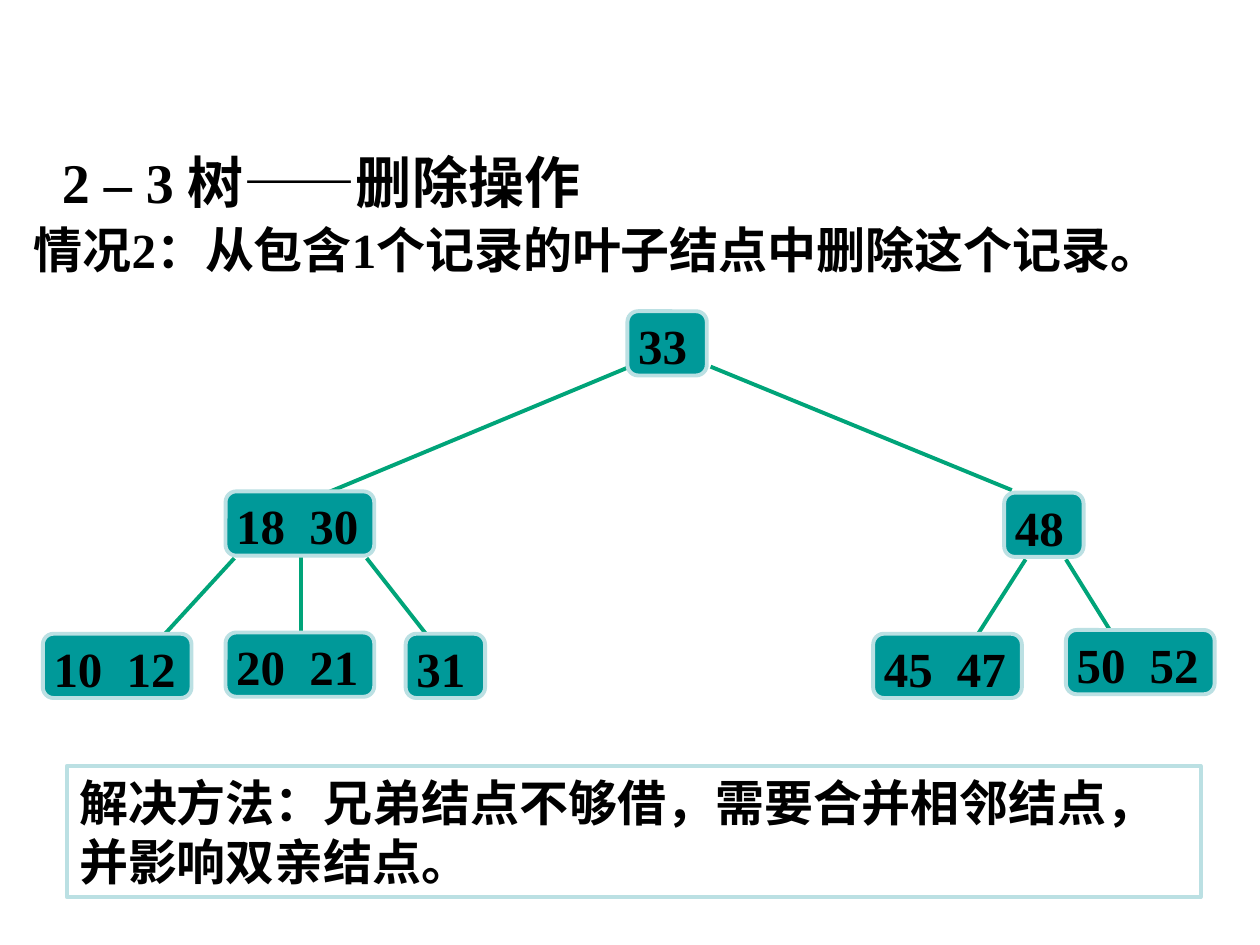
from lxml import etree
from pptx import Presentation
from pptx.dml.color import RGBColor
from pptx.enum.shapes import MSO_CONNECTOR, MSO_SHAPE
from pptx.enum.text import MSO_ANCHOR, MSO_AUTO_SIZE, PP_ALIGN
from pptx.oxml.ns import qn
from pptx.util import Inches, Pt

STRAIGHT = MSO_CONNECTOR.STRAIGHT
RECT, ROUNDED = MSO_SHAPE.RECTANGLE, MSO_SHAPE.ROUNDED_RECTANGLE
TOP, MIDDLE = MSO_ANCHOR.TOP, MSO_ANCHOR.MIDDLE
LEFT, JUSTIFY = PP_ALIGN.LEFT, PP_ALIGN.JUSTIFY
NO_FIT = MSO_AUTO_SIZE.NONE

BLACK, TEAL, PALE, GREEN = "000000", "009999", "BBE0E3", "00A479"
NODE_W = {1: 0.63, 2: 1.18}  # width by number of keys
NODE_H = 0.51
KEY_TAB = 0.58
BOX_INSETS = (0.1, 0.05, 0.1, 0.05)
NODE_INSETS = (0.06, 0.01, 0.02, 0.01)

# Position in the tree region and keys of each node
NODES = [
    (4.64, 0, "33"),
    (1.45, 1.43, "18\t30"),
    (7.63, 1.44, "48"),
    (0, 2.56, "10\t12"),
    (1.45, 2.55, "20\t21"),
    (2.88, 2.56, "31"),
    (6.59, 2.56, "45\t47"),
    (8.12, 2.53, "50\t52"),
]
# Start and end of each branch in the tree region
BRANCHES = [
    (4.66, 0.44, 2.21, 1.46),
    (5.3, 0.44, 7.69, 1.42),
    (1.52, 1.96, 0.97, 2.56),
    (2.05, 1.95, 2.05, 2.54),
    (2.57, 1.96, 3.04, 2.56),
    (7.8, 1.97, 7.41, 2.58),
    (8.12, 1.97, 8.5, 2.58),
]


def rgb(color):
    return RGBColor.from_string(color)


def set_line(s, color):
    s.line.color.rgb = rgb(color)
    s.line.width = Pt(2.25)


def write(s, text, size=28, anchor=TOP, align=LEFT, insets=BOX_INSETS, wrap=True):
    tf = s.text_frame
    margins = zip(("left", "top", "right", "bottom"), insets)
    frame = {f"margin_{side}": Inches(v) for side, v in margins}
    frame.update(auto_size=NO_FIT, word_wrap=wrap, vertical_anchor=anchor)
    for name, value in frame.items():
        setattr(tf, name, value)
    p = tf.paragraphs[0]
    p.alignment = align
    if "\t" in text:
        tabs = etree.SubElement(p._p.get_or_add_pPr(), qn("a:tabLst"))
        etree.SubElement(tabs, qn("a:tab"), pos=str(Inches(KEY_TAB)), algn="l")
    r = p.add_run()
    r.text = text
    for name, value in {"name": "Times New Roman", "size": Pt(size), "bold": True}.items():
        setattr(r.font, name, value)
    r.font.color.rgb = rgb(BLACK)


def add_title(slide, left, top, width, height):
    s = slide.shapes.title
    s.left, s.top, s.width, s.height = map(Inches, (left, top, width, height))
    write(s, "2 – 3 树——删除操作", size=32)


def add_case(slide, left, top, width, height):
    s = slide.shapes.add_textbox(*map(Inches, (left, top, width, height)))
    write(s, "情况2：从包含1个记录的叶子结点中删除这个记录。", anchor=MIDDLE, wrap=False)


def add_tree(slide, left, top):
    for x1, y1, x2, y2 in BRANCHES:
        ends = (left + x1, top + y1, left + x2, top + y2)
        c = slide.shapes.add_connector(STRAIGHT, *map(Inches, ends))
        set_line(c, GREEN)
        etree.SubElement(c._element.spPr, qn("a:effectLst"))
    for x, y, keys in NODES:
        box = (left + x, top + y, NODE_W[len(keys.split())], NODE_H)
        s = slide.shapes.add_shape(ROUNDED, *map(Inches, box))
        s.shadow.inherit = False
        s.fill.solid()
        s.fill.fore_color.rgb = rgb(TEAL)
        set_line(s, PALE)
        write(s, keys, align=JUSTIFY, insets=NODE_INSETS)


def add_solution(slide, left, top, width, height):
    s = slide.shapes.add_shape(RECT, *map(Inches, (left, top, width, height)))
    s.shadow.inherit = False
    s.fill.background()
    set_line(s, PALE)
    write(s, "解决方法：兄弟结点不够借，需要合并相邻结点，并影响双亲结点。", anchor=MIDDLE)


def main():
    prs = Presentation()
    prs.slide_width, prs.slide_height = Inches(10), Inches(7.5)
    slide = prs.slides.add_slide(prs.slide_layouts.get_by_name("Title Only"))
    add_title(slide, 0.39, 1.12, 4.57, 0.64)
    add_case(slide, 0.17, 1.69, 9.59, 0.57)
    add_tree(slide, 0.34, 2.47)
    add_solution(slide, 0.53, 6.08, 9, 1.04)
    prs.save("out.pptx")


if __name__ == "__main__":
    main()
